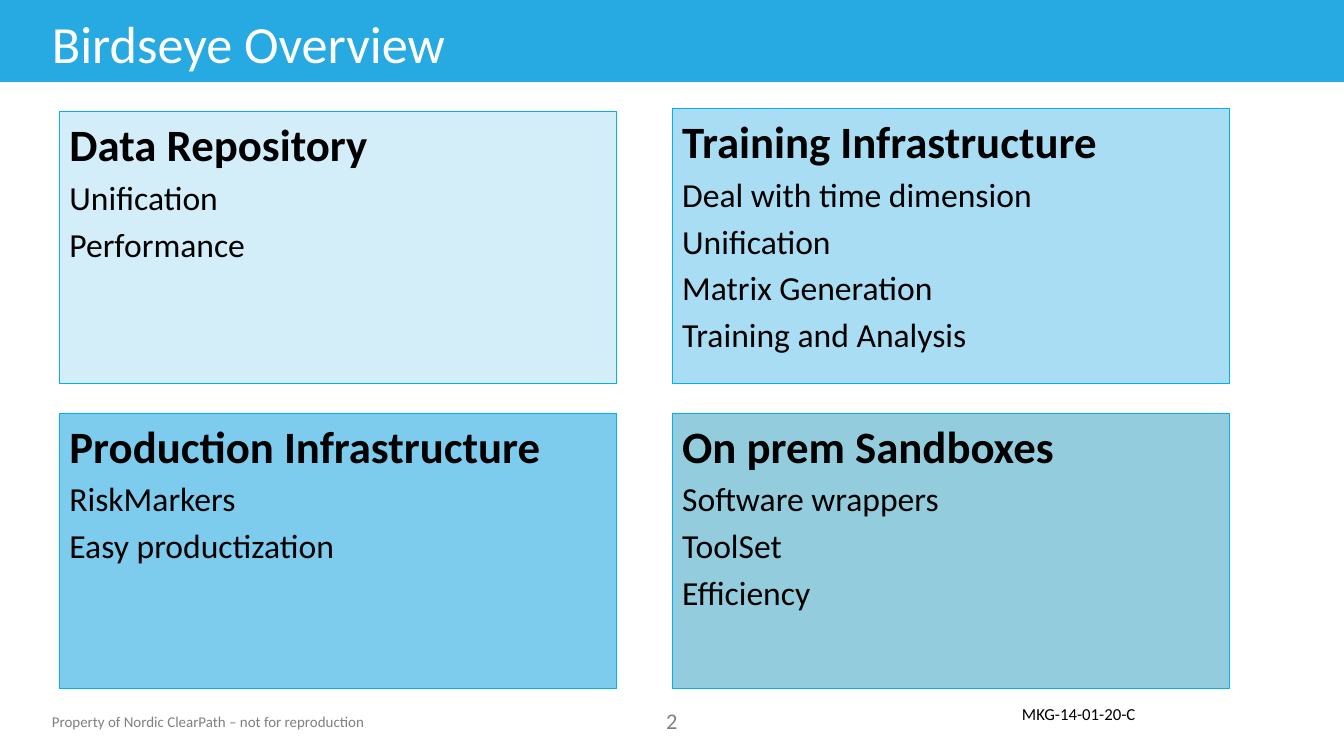
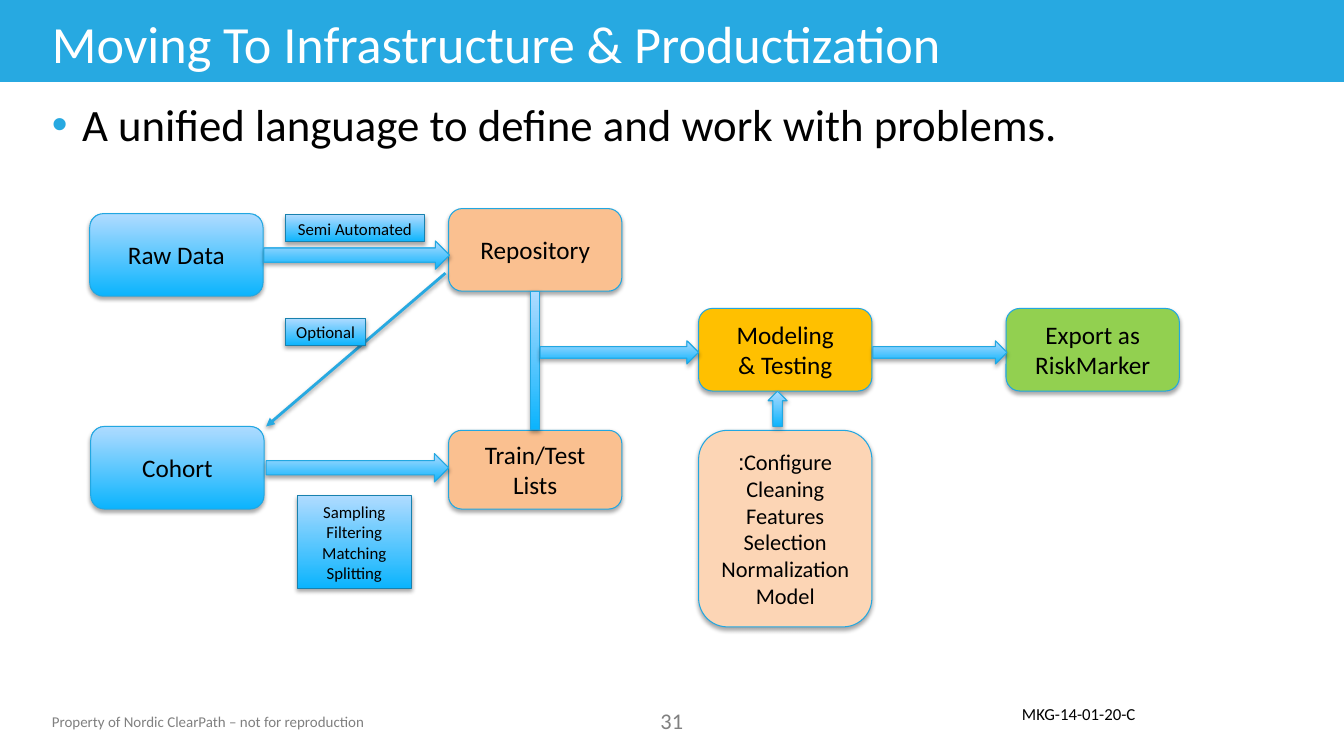
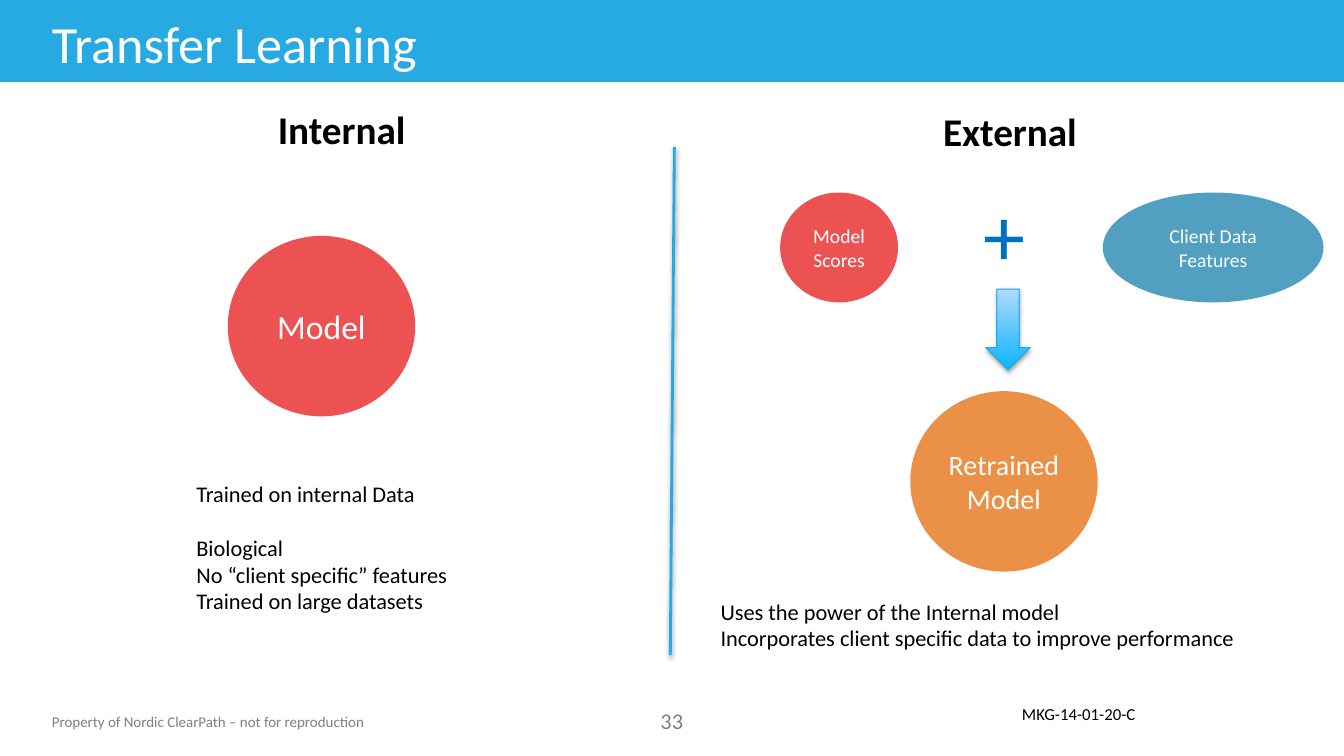
"""Build a three-slide deck on infrastructure, modeling flow and transfer learning."""
from dataclasses import dataclass

from lxml import etree
from pptx import Presentation
from pptx.dml.color import RGBColor
from pptx.enum.shapes import MSO_CONNECTOR, MSO_SHAPE
from pptx.enum.text import MSO_ANCHOR, PP_ALIGN
from pptx.oxml.ns import qn
from pptx.shapes.autoshape import Shape
from pptx.slide import Slide
from pptx.util import Pt

RECT, ROUND, OVAL = MSO_SHAPE.RECTANGLE, MSO_SHAPE.ROUNDED_RECTANGLE, MSO_SHAPE.OVAL
EAST, NORTH, SOUTH = MSO_SHAPE.RIGHT_ARROW, MSO_SHAPE.UP_ARROW, MSO_SHAPE.DOWN_ARROW
LEFT, MID, RIGHT = PP_ALIGN.LEFT, PP_ALIGN.CENTER, PP_ALIGN.RIGHT
TOP, CENTER = MSO_ANCHOR.TOP, MSO_ANCHOR.MIDDLE
STRAIGHT = MSO_CONNECTOR.STRAIGHT


@dataclass(frozen=True)
class Theme:
    """Fonts, colours and type sizes of the deck."""
    font: str = "Calibri"
    brand: str = "27A9E1"
    white: str = "FFFFFF"
    black: str = "000000"
    gray: str = "808080"
    deep: str = "0BB4FD"
    pale: str = "AFDBFF"
    edge: str = "22A7E1"
    dark: str = "1881AE"
    frame: str = "00B0F0"
    peach: str = "FAC090"
    cream: str = "FCD5B5"
    gold: str = "FFC000"
    green: str = "92D050"
    red: str = "E51917"
    orange: str = "E46C0A"
    plus: str = "0070C0"
    panes: tuple[str, ...] = ("D4EEF9", "A9DDF3", "7DCBED", "93CDDD")
    title: float = 37.3
    sign: float = 60
    lead: float = 32
    head: float = 28
    big: float = 24
    mid: float = 20
    node: float = 18
    body: float = 16
    small: float = 14
    label: float = 12
    foot: float = 10.7


T = Theme()


@dataclass(frozen=True)
class Para:
    """One paragraph of text."""
    text: str
    size: float
    color: str = T.black
    bold: bool = False
    align: PP_ALIGN = LEFT
    before: float = 0
    after: float = 0
    rtl: bool = False


@dataclass(frozen=True)
class Box:
    """A place on the slide, in points."""
    x: float
    y: float
    w: float
    h: float

    def place(self) -> tuple[Pt, Pt, Pt, Pt]:
        """Return left, top, width and height as lengths."""
        return Pt(self.x), Pt(self.y), Pt(self.w), Pt(self.h)


@dataclass(frozen=True)
class Item:
    """A filled shape; without a fill colour it takes the blue gradient."""
    kind: MSO_SHAPE
    box: Box
    paras: tuple[Para, ...] = ()
    fill: str | None = None
    edge: str | None = T.edge
    shade: bool = True
    alpha: int = 100
    anchor: MSO_ANCHOR = CENTER


def rgb(code: str) -> RGBColor:
    """Turn a hex code into a colour."""
    return RGBColor.from_string(code)


def mid(size: float, *lines: str, color: str = T.black, rtl: bool = False) -> tuple[Para, ...]:
    """Make centred paragraphs of one size."""
    return tuple(Para(line, size, color, align=MID, rtl=rtl) for line in lines)


def write(shape: Shape, paras: tuple[Para, ...], anchor: MSO_ANCHOR) -> None:
    """Fill a shape with paragraphs."""
    frame = shape.text_frame
    frame.word_wrap = True
    frame.vertical_anchor = anchor
    for i, item in enumerate(paras):
        para = frame.paragraphs[0] if i == 0 else frame.add_paragraph()
        para.alignment = item.align
        para.space_before, para.space_after = Pt(item.before), Pt(item.after)
        if item.rtl:
            para._p.get_or_add_pPr().set("rtl", "1")
        run = para.add_run()
        run.text = item.text
        font = run.font
        font.name, font.size, font.bold = T.font, Pt(item.size), item.bold
        font.color.rgb = rgb(item.color)


def text(slide: Slide, box: Box, *paras: Para, anchor: MSO_ANCHOR = TOP) -> Shape:
    """Add a text box."""
    shape = slide.shapes.add_textbox(*box.place())
    write(shape, paras, anchor)
    return shape


def shadow(effect: etree._Element, alpha: int, dist: float) -> None:
    """Put a soft drop shadow into an effect list."""
    outer = etree.SubElement(effect, qn("a:outerShdw"), blurRad=str(Pt(3.1)),
                             dist=str(Pt(dist)), dir="5400000", rotWithShape="0")
    tone = etree.SubElement(outer, qn("a:srgbClr"), val=T.black)
    etree.SubElement(tone, qn("a:alpha"), val=str(alpha * 1000))


def draw(slide: Slide, item: Item) -> None:
    """Draw a shape with its fill, line, shadow and text."""
    shape = slide.shapes.add_shape(item.kind, *item.box.place())
    props = shape.element.spPr
    if item.fill:
        shape.fill.solid()
        shape.fill.fore_color.rgb = rgb(item.fill)
    else:
        shape.fill.gradient()
        shape.fill.gradient_angle = 90
        for stop, code, spot in zip(shape.fill.gradient_stops, (T.deep, T.pale), (0, 1)):
            stop.color.rgb, stop.position = rgb(code), spot
    if item.alpha < 100:
        tone = props.find(".//" + qn("a:srgbClr"))
        etree.SubElement(tone, qn("a:alpha"), val=str(item.alpha * 1000))
    if item.edge:
        shape.line.color.rgb, shape.line.width = rgb(item.edge), Pt(0.75)
    else:
        shape.line.fill.background()
    shape.shadow.inherit = False
    if item.shade:
        shadow(props.find(qn("a:effectLst")), 35, 1.8)
    if item.paras:
        write(shape, item.paras, item.anchor)


def link(slide: Slide, x1: float, y1: float, x2: float, y2: float, tip: bool = False) -> None:
    """Draw a straight line, with an arrowhead if asked."""
    line = slide.shapes.add_connector(STRAIGHT, Pt(x1), Pt(y1), Pt(x2), Pt(y2))
    line.line.color.rgb, line.line.width = rgb(T.brand), Pt(2)
    props = line.element.spPr
    if tip:
        etree.SubElement(props.find(qn("a:ln")), qn("a:tailEnd"), type="triangle")
    shadow(etree.SubElement(props, qn("a:effectLst")), 38, 1.6)


def start(deck: Presentation, title: str, page: int) -> Slide:
    """Add a slide with its band, title and footer."""
    slide = deck.slides.add_slide(deck.slide_layouts[6])
    draw(slide, Item(RECT, Box(0, -0.5, 960, 59), fill=T.brand, edge=None, shade=False))
    text(slide, Box(30, 505.4, 240, 20.2),
         Para("Property of Nordic ClearPath – not for reproduction", T.foot, T.gray))
    text(slide, Box(450.7, 501.8, 58.3, 26.6), *mid(T.body, str(page), color=T.gray))
    text(slide, Box(722.9, 499, 99.4, 21.6), Para("MKG-14-01-20-C", T.label))
    text(slide, Box(30, 4.3, 799, 52.6), Para(title, T.title, T.white), anchor=CENTER)
    return slide


def birdseye(deck: Presentation) -> None:
    """Build the four-panel overview."""
    slide = start(deck, "Birdseye Overview", 2)
    panes = (
        ("Data Repository", "Unification", "Performance"),
        ("Training Infrastructure", "Deal with time dimension", "Unification",
         "Matrix Generation", "Training and Analysis"),
        ("Production Infrastructure", "RiskMarkers", "Easy productization"),
        ("On prem Sandboxes", "Software wrappers", "ToolSet", "Efficiency"),
    )
    highs = (194.4, 196.6, 196.6, 196.6)
    for i, ((head, *rest), high, fill) in enumerate(zip(panes, highs, T.panes)):
        row, col = divmod(i, 2)
        base = 274.3 + row * 217.5
        paras = (Para(head, T.lead, bold=True, before=2.5),
                 *(Para(line, T.big, before=4.5) for line in rest))
        draw(slide, Item(RECT, Box(42.5 + col * 437.7, base - high, 398, high), paras,
                         fill, T.frame, shade=False, anchor=TOP))


def flow(deck: Presentation) -> None:
    """Build the modeling flow diagram."""
    slide = start(deck, "Moving To Infrastructure & Productization", 31)
    lead = text(slide, Box(30, 65.5, 850, 56.9),
                Para("A unified language to define and work with problems.", T.lead, before=2.5))
    props = lead.text_frame.paragraphs[0]._p.get_or_add_pPr()
    props.set("marL", str(Pt(21.6)))
    props.set("indent", str(-Pt(21.6)))
    tone = etree.SubElement(props, qn("a:buClr"))
    etree.SubElement(tone, qn("a:srgbClr"), val=T.brand)
    etree.SubElement(props, qn("a:buFont"), typeface="Arial")
    etree.SubElement(props, qn("a:buChar"), char="•")

    wide, high = 123.8, 59
    nodes = (
        (64.1, 152.6, high, None, mid(T.node, "Raw Data")),
        (320.4, 149, high, T.peach, mid(T.node, "Repository")),
        (64.8, 304.6, high, None, mid(T.node, "Cohort")),
        (320.4, 307.4, 56.2, T.peach, mid(T.node, "Train/Test Lists")),
        (499, 220.3, high, T.gold, mid(T.node, "Modeling", "& Testing")),
        (499, 307.4, 140.4, T.cream,
         mid(T.body, "Configure:", "Cleaning", "Features", "Selection",
             "Normalization", "Model", rtl=True)),
        (718.6, 220.3, high, T.green, mid(T.node, "Export as RiskMarker")),
    )
    for x, y, tall, fill, paras in nodes:
        draw(slide, Item(ROUND, Box(x, y, wide, tall), paras, fill))
    link(slide, 318.2, 195.1, 190.1, 304.6, tip=True)

    labels = (
        (Box(203.8, 153.4, 99.4, 19.4), ("Semi Automated",)),
        (Box(203.8, 227.5, 57.6, 19.4), ("Optional",)),
        (Box(212.4, 354.2, 81.4, 66.2), ("Sampling", "Filtering", "Matching", "Splitting")),
    )
    for box, lines in labels:
        draw(slide, Item(RECT, box, mid(T.label, *lines), edge=T.dark))

    arrows = (
        (EAST, Box(188.6, 172.1, 132.5, 20.2)),
        (EAST, Box(190.1, 324, 130.3, 20.2)),
        (RECT, Box(378.7, 208.1, 6.5, 98.6)),
        (EAST, Box(385.9, 243.4, 113, 16.6)),
        (NORTH, Box(548.6, 279.4, 13.7, 25.2)),
        (EAST, Box(623.5, 243.4, 95.8, 16.6)),
    )
    for kind, box in arrows:
        draw(slide, Item(kind, box))


def transfer(deck: Presentation) -> None:
    """Build the internal and external comparison."""
    slide = start(deck, "Transfer Learning", 33)
    link(slide, 481.7, 105.1, 478.8, 468)
    heads = (("Internal", Box(189.4, 72, 107.3, 41)), ("External", Box(664.6, 73.4, 111.6, 41)))
    for head, box in heads:
        text(slide, box, Para(head, T.head, bold=True, align=RIGHT))
    text(slide, Box(507.6, 423.4, 385.9, 46.1),
         Para("Uses the power of the Internal model", T.body),
         Para("Incorporates client specific data to improve performance", T.body))
    text(slide, Box(133.2, 339.1, 225.4, 106.6),
         Para("Trained on internal Data", T.body, after=19.5),
         Para("Biological", T.body),
         Para("No “client specific” features", T.body),
         Para("Trained on large datasets", T.body))
    text(slide, Box(695.5, 126.7, 43.9, 79.9), Para("+", T.sign, T.plus))

    ovals = (
        (Box(162.7, 168.5, 133.9, 128.9), T.red, T.big, ("Model",)),
        (Box(557.3, 137.5, 84.2, 78.5), T.red, T.small, ("Model", "Scores")),
        (Box(787.7, 137.5, 157.7, 78.5), T.dark, T.small, ("Client Data", "Features")),
        (Box(650.2, 279.4, 133.9, 128.9), T.orange, T.mid, ("Retrained", "Model")),
    )
    for box, fill, size, lines in ovals:
        draw(slide, Item(OVAL, box, mid(size, *lines, color=T.white), fill, None, False, 75))
    draw(slide, Item(SOUTH, Box(704.2, 206.6, 31.7, 57.6)))


def main() -> None:
    """Build and save the deck."""
    deck = Presentation()
    deck.slide_width, deck.slide_height = Pt(960), Pt(540)
    birdseye(deck)
    flow(deck)
    transfer(deck)
    deck.save("out.pptx")


if __name__ == "__main__":
    main()
